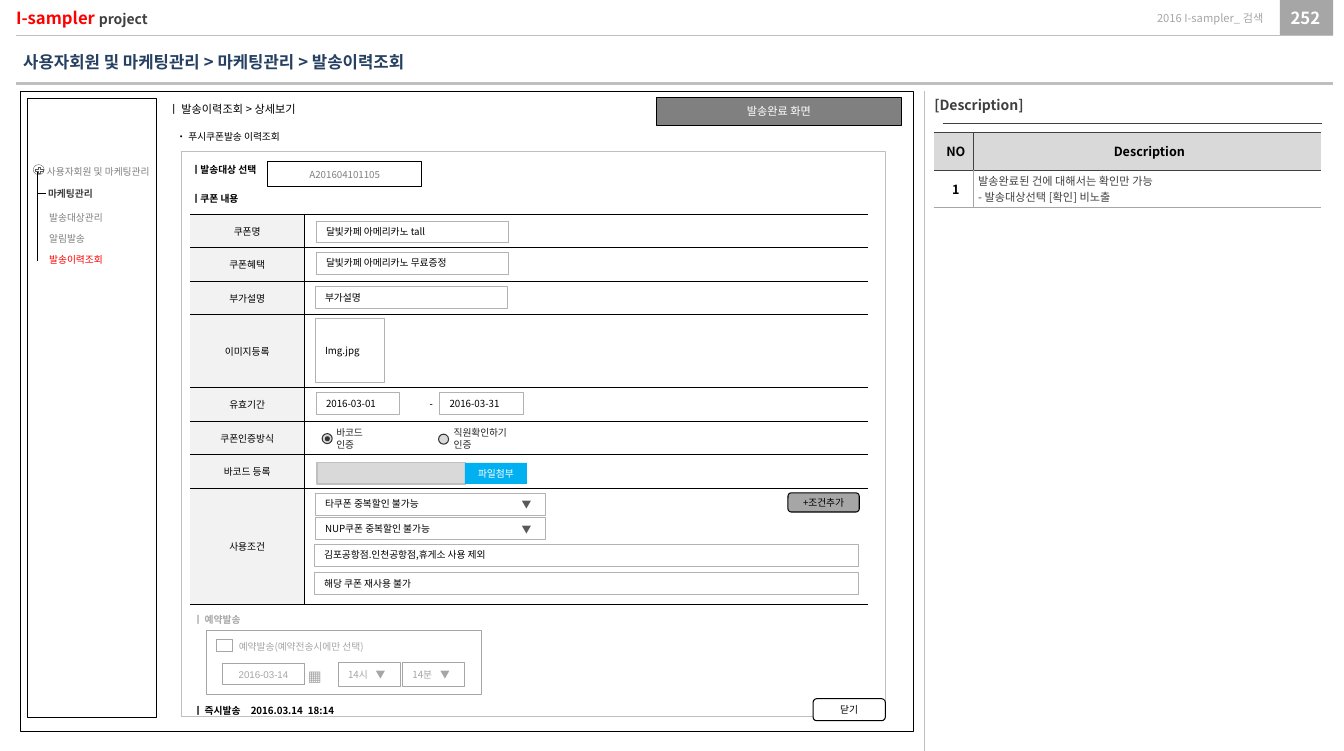
from lxml.etree import SubElement
from pptx import Presentation
from pptx.dml.color import RGBColor
from pptx.enum.shapes import MSO_CONNECTOR, MSO_SHAPE as Shape
from pptx.enum.text import MSO_ANCHOR as Anchor, MSO_AUTO_SIZE, PP_ALIGN as Align
from pptx.oxml.ns import qn
from pptx.util import Pt

NOTO, ARIAL = "Noto Sans CJK KR", "Arial"
COLORS = {
    "black": "000000", "white": "FFFFFF", "ink": "404040", "dark": "333333", "label": "262626",
    "slate": "595959", "mid": "808080", "muted": "A6A6A6", "edge": "B2B2B2", "rule": "BFBFBF",
    "shade": "D9D9D9", "pale": "F2F2F2", "red": "FF0000", "navy": "254061", "sky": "00B0F0",
}
TITLE = "사용자회원 및 마케팅관리 > 마케팅관리 > 발송이력조회"
MENU = [("발송대상관리", "mid"), ("알림발송", "mid"), ("발송이력조회", "red")]

HEADER = [
    ([("252", 12, "white", True)], 918, 36.7, Align.CENTER),
    ([("2016 I-sampler_ 검색", 8, "muted", False)], 743, 163.4, Align.RIGHT),
    ([("I-sampler ", 12, "red", True), ("project", 10, "ink", True)], 11.5, 147.6, Align.LEFT),
]

STYLES = {
    "panel": (None, "black", 0.75, "black", Align.LEFT),
    "frame": (None, "rule", 0.75, "black", Align.LEFT),
    "target": ("white", "black", 0.75, "mid", Align.CENTER),
    "field": ("white", "edge", 0.5, "black", Align.LEFT),
    "file": ("shade", "rule", 1, "black", Align.LEFT),
    "attach": ("sky", None, 0, "white", Align.CENTER),
    "add": ("muted", "black", 0.75, "black", Align.CENTER),
    "close": ("white", "black", 0.75, "black", Align.CENTER),
    "banner": ("mid", "black", 0.75, "white", Align.CENTER),
    "page": ("muted", None, 0, "white", Align.CENTER),
    "reserve": ("white", "muted", 0.75, "muted", Align.LEFT),
    "radio": ("shade", "dark", 0.75, "black", Align.CENTER),
    "dot": ("dark", None, 0, "black", Align.CENTER),
    "node": ("white", "slate", 0.25, "black", Align.CENTER),
    "plus": (None, "slate", 0.25, "black", Align.CENTER),
}
OUTLINES = {"add": Shape.ROUNDED_RECTANGLE, "close": Shape.ROUNDED_RECTANGLE, "radio": Shape.OVAL,
            "dot": Shape.OVAL, "node": Shape.OVAL, "plus": Shape.MATH_PLUS}

PANELS = [
    ("page", "", 918, 0, 38.2, 25.2),
    ("panel", "", 14.4, 65.5, 640.8, 459.4),
    ("panel", "", 19.4, 70.6, 92.9, 444.2),
    ("frame", "", 130.3, 108.7, 504.7, 405.4),
]
CONTROLS = [
    ("target", "A201604101105", 192.2, 115.9, 110.2, 18),
    ("field", "달빛카페 아메리카노 tall", 226.8, 158.4, 138.2, 15.8),
    ("field", "달빛카페 아메리카노 무료증정", 226.8, 180.7, 138.2, 15.8),
    ("field", "부가설명", 226.1, 205.2, 138.2, 15.8),
    ("field", "Img.jpg", 226.1, 228.2, 49.7, 46.1),
    ("field", "2016-03-01", 226.8, 281.5, 59.8, 15.8),
    ("field", "2016-03-31", 315.4, 281.5, 59.8, 15.8),
    ("radio", "", 231.1, 311, 7.2, 7.2),
    ("dot", "", 233, 312.9, 3.6, 3.6),
    ("radio", "", 314.6, 311.4, 7.2, 7.2),
    ("file", "", 227.5, 331.9, 106.6, 15.1),
    ("attach", "파일첨부", 333.4, 331.9, 44.6, 15.1),
    ("field", "타쿠폰 중복할인 불가능", 226.1, 353.5, 164.9, 15.8),
    ("field", "NUP쿠폰 중복할인 불가능", 226.1, 371, 164.9, 15.8),
    ("field", "김포공항점.인천공항점,휴게소 사용 제외", 225.4, 390.2, 390.2, 15.8),
    ("field", "해당 쿠폰 재사용 불가", 225.4, 410.4, 390.2, 15.8),
    ("add", "+조건추가", 565.2, 353.5, 51.1, 13.7),
    ("reserve", "", 148.3, 452.2, 197.3, 46.1),
    ("reserve", "", 155.5, 458.6, 11.5, 8.6),
    ("reserve", "2016-03-14", 159.8, 475.9, 58.3, 15.1),
    ("reserve", "14시\t▼", 242.6, 475.5, 44.6, 16.6),
    ("reserve", "14분\t▼", 288.7, 475.5, 44.6, 16.6),
    ("close", "닫기", 583.2, 501.1, 51.8, 15.8),
    ("banner", "발송완료 화면", 470.9, 69.8, 175.7, 20.2),
    ("node", "", 23.8, 118.1, 7.9, 7.2),
    ("plus", "", 24.5, 118.8, 7.2, 6.5),
]
LABELS = [
    ("[Description]", 663.1, 65.5, 125.3, 10, "ink", True, NOTO),
    ("• 푸시쿠폰발송 이력조회", 119.5, 90, 186.5, 7, "black", False, NOTO),
    ("ㅣ발송대상 선택", 130.3, 113.8, 63.4, 7, "black", True, NOTO),
    ("ㅣ쿠폰 내용", 130.3, 134.6, 63.4, 7, "black", True, NOTO),
    ("-", 301, 281.5, 18.7, 7, "black", False, ARIAL),
    ("예약발송(예약전송시에만 선택)", 164.2, 455.8, 177.1, 7, "muted", False, NOTO),
    ("▦", 213.8, 474.5, 25, 10.5, "muted", False, ARIAL),
    ("ㅣ 예약발송", 131.8, 436.3, 204.5, 7, "muted", True, NOTO),
    ("ㅣ 즉시발송\t2016.03.14\t18:14", 131.8, 501.8, 204.5, 7, "black", True, NOTO),
    ("ㅣ 발송이력조회 > 상세보기", 113.8, 69.8, 344.2, 8, "black", False, NOTO),
    ("사용자회원 및 마케팅관리", 26.6, 115.2, 114.5, 7, "mid", False, NOTO),
    ("마케팅관리", 27.4, 131, 77.8, 7, "ink", True, NOTO),
]
RADIO_LABELS = [("바코드 인증", 237.6, 37.4), ("직원확인하기 인증", 321.8, 56.9)]
ARROW_TOPS = [357.1, 375.1]
LINES = [
    (11.5, 59.8, 956, 59.8, "rule", 2.25),
    (11.5, 25.2, 956, 25.2, "rule", 0.25),
    (676.1, 88.6, 948.2, 88.6, "ink", 0.5),
    (663.1, 65.5, 663.1, 538.6, "rule", 0.75),
    (26.6, 123.1, 26.6, 187.2, "black", 0.75),
    (27.4, 139, 33.1, 139, "black", 0.75),
]
DESCRIPTION = [
    (["NO"], ["Description"]),
    (["1"], ["발송완료된 건에 대해서는 확인만 가능", "- 발송대상선택 [확인] 비노출"]),
]
COUPON_ROWS = [("쿠폰명", 24), ("쿠폰혜택", 24), ("부가설명", 24), ("이미지등록", 52.5),
               ("유효기간", 24), ("쿠폰인증방식", 24), ("바코드 등록", 24), ("사용조건", 83.5)]


def rgb(name):
    return RGBColor.from_string(COLORS[name])


def paint(fill, color):
    if color:
        fill.solid()
        fill.fore_color.rgb = rgb(color)
    else:
        fill.background()


def add_runs(paragraph, runs, font=NOTO, align=Align.LEFT, tabs=()):
    paragraph.alignment = align
    if tabs:
        tab_list = SubElement(paragraph._p.get_or_add_pPr(), qn("a:tabLst"))
        for position in tabs:
            SubElement(tab_list, qn("a:tab"), pos=str(Pt(position)), algn="l")
    for text, size, color, bold in runs:
        run = paragraph.add_run()
        run.text = text
        run.font.name, run.font.size, run.font.bold = font, Pt(size), bold
        run.font.color.rgb = rgb(color)
        SubElement(run._r.get_or_add_rPr(), qn("a:ea"), typeface=font)


def set_frame(frame, anchor=Anchor.TOP, insets=(7.2, 3.6, 7.2, 3.6)):
    frame.word_wrap = True
    frame.auto_size = MSO_AUTO_SIZE.NONE
    frame.vertical_anchor = anchor
    frame.margin_left, frame.margin_top, frame.margin_right, frame.margin_bottom = map(Pt, insets)
    return frame.paragraphs[0]


def place(shape, *box):
    shape.left, shape.top, shape.width, shape.height = map(Pt, box)


def add_label(slide, box, runs, font=NOTO, align=Align.LEFT, tabs=(), **frame_options):
    label = slide.shapes.add_textbox(*map(Pt, box))
    add_runs(set_frame(label.text_frame, **frame_options), runs, font, align, tabs)


def add_control(slide, kind, text, *box):
    fill, line, width, color, align = STYLES[kind]
    shape = slide.shapes.add_shape(OUTLINES.get(kind, Shape.RECTANGLE), *map(Pt, box))
    shape.shadow.inherit = False
    paint(shape.fill, fill)
    paint(shape.line.fill, line)
    if line:
        shape.line.width = Pt(width)
    if text:
        tabs = (19.8,) if "\t" in text else ()
        centered = kind == "reserve" and not tabs
        add_runs(set_frame(shape.text_frame, Anchor.MIDDLE),
                 [(text, 8 if kind == "banner" else 7, color, False)],
                 ARIAL if centered else NOTO, Align.CENTER if centered else align, tabs)


def add_line(slide, x1, y1, x2, y2, color, width):
    line = slide.shapes.add_connector(MSO_CONNECTOR.STRAIGHT, *map(Pt, (x1, y1, x2, y2)))
    line.line.color.rgb = rgb(color)
    line.line.width = Pt(width)
    SubElement(line._element.spPr, qn("a:effectLst"))


def set_cell(cell, fill, borders, width, insets):
    cell.vertical_anchor = Anchor.MIDDLE
    cell.margin_left, cell.margin_top, cell.margin_right, cell.margin_bottom = map(Pt, insets)
    properties = cell._tc.get_or_add_tcPr()
    for edge in ("lnL", "lnR", "lnT", "lnB"):
        line = SubElement(properties, qn("a:" + edge), w=str(Pt(width)))
        if edge in borders:
            solid = SubElement(line, qn("a:solidFill"))
            SubElement(solid, qn("a:srgbClr"), val=COLORS[borders[edge]])
        else:
            SubElement(line, qn("a:noFill"))
    paint(cell.fill, fill)


def add_grid(slide, left, top, widths, heights):
    table = slide.shapes.add_table(len(heights), len(widths), Pt(left), Pt(top),
                                   Pt(sum(widths)), Pt(sum(heights))).table
    for column, width in zip(table.columns, widths):
        column.width = Pt(width)
    for row, height in zip(table.rows, heights):
        row.height = Pt(height)
    return table


def add_description(slide):
    table = add_grid(slide, 669.6, 95, (28.4, 249.2), (27.2, 26.6))
    for r, row in enumerate(DESCRIPTION):
        for c, texts in enumerate(row):
            cell = table.cell(r, c)
            color = "muted" if r else "ink"
            borders = {"lnT": "ink", "lnB": color, "lnL" if c else "lnR": color}
            set_cell(cell, None if r else "shade", borders, 1, (3.6, 0, 0, 0))
            detail = r == 1 and c == 1
            size, ink = (8, "ink") if detail else (9, "black")
            for i, text in enumerate(texts):
                paragraph = cell.text_frame.add_paragraph() if i else cell.text_frame.paragraphs[0]
                add_runs(paragraph, [(text, size, ink, not detail)],
                         align=Align.LEFT if detail else Align.CENTER)


def add_coupon_table(slide):
    table = add_grid(slide, 136.3, 153.5, (82, 404.3), [height for _, height in COUPON_ROWS])
    for r, (name, _) in enumerate(COUPON_ROWS):
        for c, (fill, edge) in enumerate((("pale", "lnR"), ("white", "lnL"))):
            borders = dict.fromkeys(("lnT", "lnB", edge), "black")
            set_cell(table.cell(r, c), fill, borders, 0.25, (0.72, 0.72, 0.72, 0))
        add_runs(table.cell(r, 0).text_frame.paragraphs[0], [(name, 7, "black", False)], align=Align.CENTER)
        SubElement(table.cell(r, 1).text_frame.paragraphs[0]._p, qn("a:endParaRPr"), sz="700")


def fill_placeholders(slide):
    title, menu = slide.shapes.title, slide.placeholders[1]
    place(title, 9.4, 33.8, 405.4, 21.6)
    add_runs(set_frame(title.text_frame), [(TITLE, 12, "navy", True)])
    place(menu, 28.1, 148, 84, 50)
    first = set_frame(menu.text_frame)
    for i, (text, color) in enumerate(MENU):
        paragraph = menu.text_frame.add_paragraph() if i else first
        paragraph.space_before = Pt(6.8 if i else 0)
        properties = paragraph._p.get_or_add_pPr()
        properties.set("marL", "0")
        properties.set("indent", "0")
        SubElement(properties, qn("a:buNone"))
        add_runs(paragraph, [(text, 7, color, False)])


def main():
    presentation = Presentation()
    presentation.slide_width, presentation.slide_height = Pt(964), Pt(538.6)
    slide = presentation.slides.add_slide(presentation.slide_layouts[1])
    fill_placeholders(slide)
    for panel in PANELS:
        add_control(slide, *panel)
    for runs, left, width, align in HEADER:
        add_label(slide, (left, 0, width, 25.2), runs, align=align, anchor=Anchor.MIDDLE, insets=(0,) * 4)
    add_description(slide)
    add_coupon_table(slide)
    for control in CONTROLS:
        add_control(slide, *control)
    for text, left, top, width, size, color, bold, font in LABELS:
        add_label(slide, (left, top, width, size + 9), [(text, size, color, bold)], font,
                  tabs=(41, 82) if "\t" in text else ())
    for text, left, width in RADIO_LABELS:
        add_label(slide, (left, 309.6, width, 10.1), [(text, 7, "label", False)], ARIAL,
                  anchor=Anchor.MIDDLE, insets=(3.6, 0.72, 0.72, 0.72))
    for top in ARROW_TOPS:
        add_label(slide, (367.2, top, 20.9, 9.4), [("▼", 7, "slate", False)], align=Align.CENTER,
                  anchor=Anchor.MIDDLE, insets=(0,) * 4)
    for line in LINES:
        add_line(slide, *line)
    presentation.save("out.pptx")


if __name__ == "__main__":
    main()
